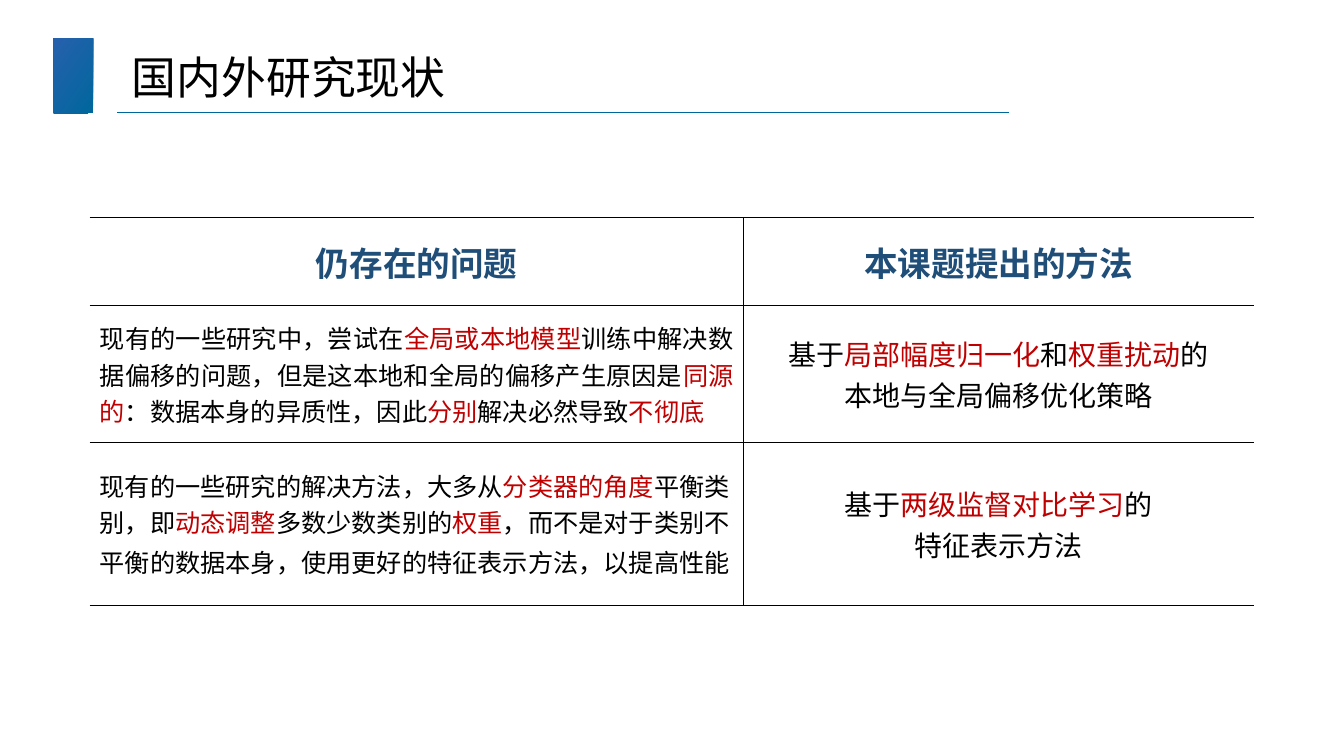
from dataclasses import dataclass

from lxml import etree
from pptx import Presentation
from pptx.dml.color import RGBColor
from pptx.enum.dml import MSO_THEME_COLOR
from pptx.enum.shapes import MSO_CONNECTOR, MSO_SHAPE
from pptx.enum.text import MSO_ANCHOR, MSO_AUTO_SIZE, PP_ALIGN
from pptx.oxml.ns import qn
from pptx.slide import Slide
from pptx.table import _Cell
from pptx.text.text import _Paragraph
from pptx.util import Cm, Pt

LEFT, CENTER, JUSTIFY = PP_ALIGN.LEFT, PP_ALIGN.CENTER, PP_ALIGN.JUSTIFY
MIDDLE = MSO_ANCHOR.MIDDLE
TITLE_ONLY = 5


@dataclass(frozen=True)
class Theme:
    font: str = "Noto Sans CJK SC"
    ink: str = "000000"
    heading: str = "1F4E79"
    emphasis: str = "C00000"
    accent: str = "00679C"
    accent_light: str = "2660AD"
    title_size: int = 32
    heading_size: int = 24
    method_size: int = 20
    problem_size: int = 18
    rule_width: int = 1


THEME = Theme()


@dataclass(frozen=True)
class Span:
    text: str
    color: str = THEME.ink
    size: int | None = None


@dataclass(frozen=True)
class CellText:
    lines: list[list[Span]]
    size: int
    align: PP_ALIGN = CENTER
    bold: bool = False


def key(text: str) -> Span:
    return Span(text, THEME.emphasis)


def heading(text: str) -> CellText:
    return CellText([[Span(text, THEME.heading)]], THEME.heading_size, bold=True)


COLUMN_WIDTHS = (16.48, 12.85)
ROW_HEIGHTS = (2.21, 3.45, 4.11)
RESEARCH_ROWS = [
    [heading("仍存在的问题"), heading("本课题提出的方法")],
    [
        CellText([[
            Span("现有的一些研究中，尝试在"), key("全局或本地模型"),
            Span("训练中解决数据偏移的问题，但是这本地和全局的偏移产生原因是"),
            key("同源的"), Span("：数据本身的异质性，因此"), key("分别"),
            Span("解决必然导致"), key("不彻底"),
        ]], THEME.problem_size, JUSTIFY),
        CellText([
            [Span("基于"), key("局部幅度归一化"), Span("和"), key("权重扰动"), Span("的")],
            [Span("本地与全局偏移优化策略")],
        ], THEME.method_size),
    ],
    [
        CellText([[
            Span("现有的一些研究的解决方法，大多从"), key("分类器的角度"),
            Span("平衡类别，即"), key("动态调整"), Span("多数少数类别的"), key("权重"),
            Span("，而不是对于类别不平衡的数据本身，使用更好的特征表示方法，以提高性能"),
            Span(" ", size=THEME.method_size),
        ]], THEME.problem_size, LEFT),
        CellText([
            [Span("基于"), key("两级监督对比学习"), Span("的")],
            [Span("特征表示方法")],
        ], THEME.method_size),
    ],
]


def add_span(paragraph: _Paragraph, span: Span, size: int, bold: bool = False) -> None:
    run = paragraph.add_run()
    run.text = span.text
    run.font.size = Pt(span.size or size)
    run.font.bold = bold
    run.font.color.rgb = RGBColor.from_string(span.color)
    run.font.name = THEME.font
    east_asian = etree.SubElement(run.font._element, qn("a:ea"))
    east_asian.set("typeface", THEME.font)


def set_borders(cell: _Cell, visible_sides: str) -> None:
    properties = cell._tc.get_or_add_tcPr()
    for position, side in enumerate("LRTB"):
        border = etree.Element(qn(f"a:ln{side}"), w=str(Pt(THEME.rule_width)))
        if side in visible_sides:
            fill = etree.SubElement(border, qn("a:solidFill"))
            etree.SubElement(fill, qn("a:srgbClr"), val=THEME.ink)
        else:
            etree.SubElement(border, qn("a:noFill"))
        properties.insert(position, border)


def fill_cell(cell: _Cell, content: CellText, visible_sides: str) -> None:
    cell.vertical_anchor = MIDDLE
    cell.fill.background()
    set_borders(cell, visible_sides)
    frame = cell.text_frame
    for index, line in enumerate(content.lines):
        paragraph = frame.add_paragraph() if index else frame.paragraphs[0]
        paragraph.alignment = content.align
        for span in line:
            add_span(paragraph, span, content.size, content.bold)


def add_header(slide: Slide) -> None:
    # Gradient bar
    bar = slide.shapes.add_shape(MSO_SHAPE.RECTANGLE, Cm(1.35), Cm(0.97), Cm(1), Cm(1.88))
    bar.shadow.inherit = False
    bar.line.fill.background()
    bar.fill.gradient()
    bar.fill.gradient_angle = 145
    for stop, color, position in zip(
        bar.fill.gradient_stops, (THEME.accent, THEME.accent_light), (0, 1)
    ):
        stop.color.rgb = RGBColor.from_string(color)
        stop.position = position

    # Rule under the title
    rule = slide.shapes.add_connector(
        MSO_CONNECTOR.STRAIGHT, Cm(2.95), Cm(2.84), Cm(25.43), Cm(2.84)
    )
    rule.line.color.rgb = RGBColor.from_string(THEME.accent)
    rule.line.width = Pt(THEME.rule_width)
    etree.SubElement(rule._element.spPr, qn("a:effectLst"))

    # Title
    title = slide.shapes.title
    title.left, title.top, title.width, title.height = Cm(3.07), Cm(1.12), Cm(10.46), Cm(1.63)
    frame = title.text_frame
    frame.auto_size = MSO_AUTO_SIZE.NONE
    frame.vertical_anchor = MIDDLE
    frame.paragraphs[0].alignment = LEFT
    add_span(frame.paragraphs[0], Span("国内外研究现状"), THEME.title_size)


def add_research_table(slide: Slide) -> None:
    table = slide.shapes.add_table(
        len(ROW_HEIGHTS), len(COLUMN_WIDTHS), Cm(2.26), Cm(5.49),
        Cm(sum(COLUMN_WIDTHS)), Cm(sum(ROW_HEIGHTS)),
    ).table
    table.first_row = table.horz_banding = False
    for column, width in zip(table.columns, COLUMN_WIDTHS):
        column.width = Cm(width)
    for row, height, contents in zip(table.rows, ROW_HEIGHTS, RESEARCH_ROWS):
        row.height = Cm(height)
        for cell, content, inner_side in zip(row.cells, contents, "RL"):
            fill_cell(cell, content, "TB" + inner_side)


def main() -> None:
    presentation = Presentation()
    presentation.slide_width, presentation.slide_height = Cm(33.87), Cm(19.05)
    slide = presentation.slides.add_slide(presentation.slide_layouts[TITLE_ONLY])
    slide.background.fill.solid()
    slide.background.fill.fore_color.theme_color = MSO_THEME_COLOR.BACKGROUND_1
    add_header(slide)
    add_research_table(slide)
    presentation.save("out.pptx")


if __name__ == "__main__":
    main()
